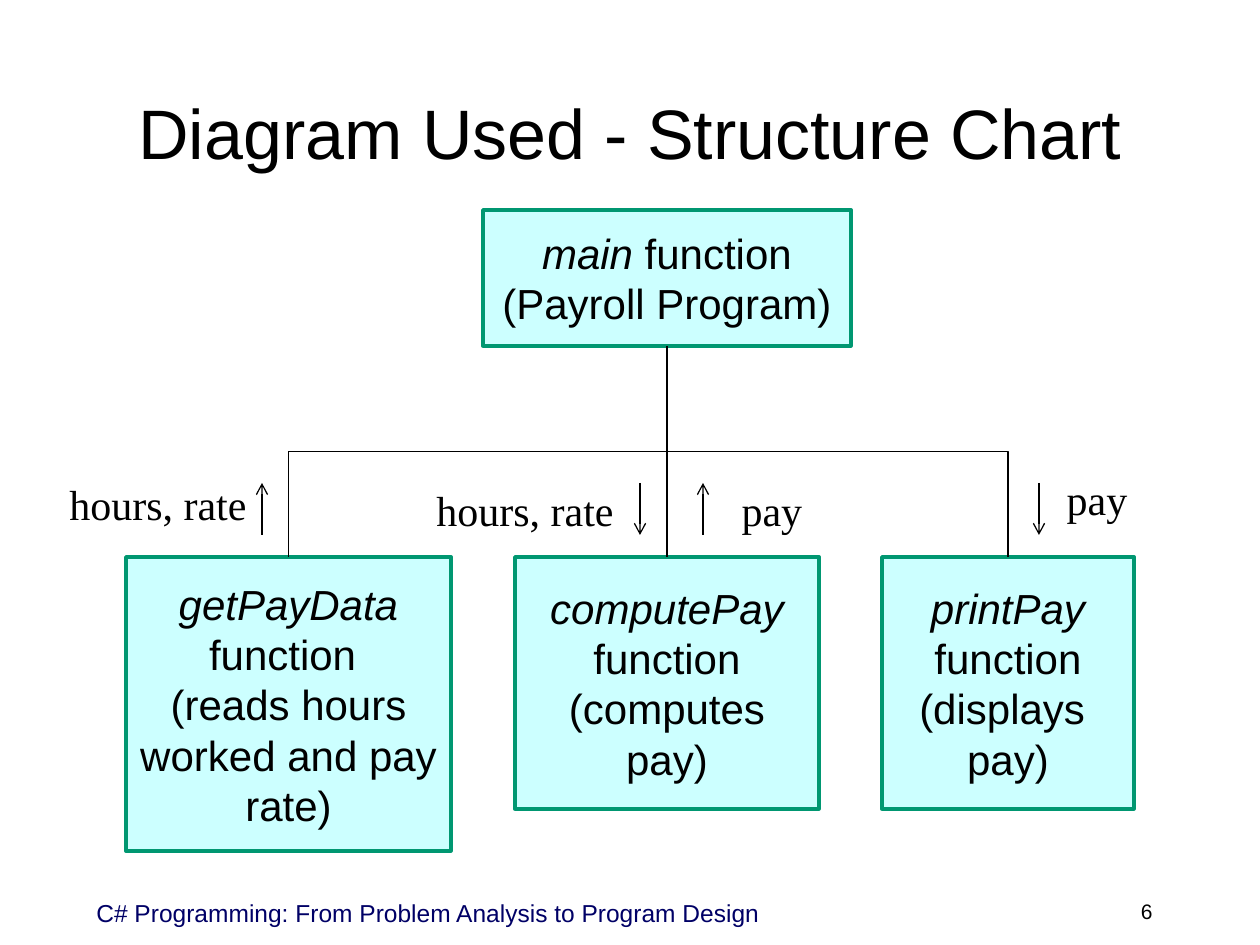
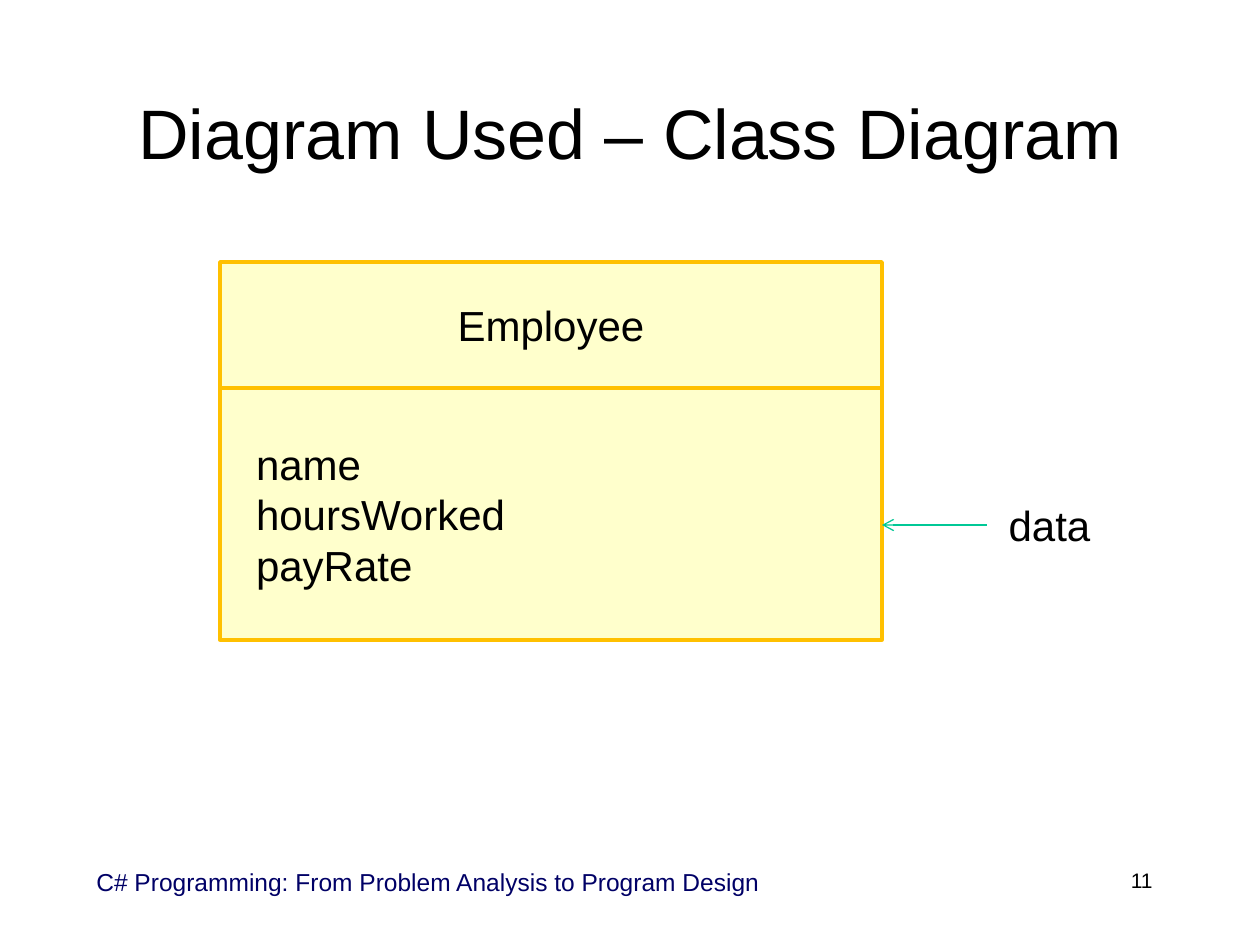
from pptx import Presentation
from pptx.dml.color import RGBColor
from pptx.enum.shapes import MSO_CONNECTOR, MSO_SHAPE
from pptx.enum.text import MSO_ANCHOR, PP_ALIGN
from pptx.oxml.ns import qn
from pptx.util import Emu, Pt
from lxml import etree

STRAIGHT, ELBOW = MSO_CONNECTOR.STRAIGHT, MSO_CONNECTOR.ELBOW
LEFT, CENTER, RIGHT = PP_ALIGN.LEFT, PP_ALIGN.CENTER, PP_ALIGN.RIGHT
TOP, MIDDLE = MSO_ANCHOR.TOP, MSO_ANCHOR.MIDDLE
RECTANGLE = MSO_SHAPE.RECTANGLE
SIDE_TOP, SIDE_BOTTOM = 0, 2
PX_PER_INCH = 126
SANS, SERIF = "Arial", "Times New Roman"
COLORS = {
    "text": "000000", "footer": "000066", "paper": "FFFFFF",
    "function_fill": "CCFFFF", "function_line": "009771",
    "class_fill": "FFFFCC", "class_line": "FFC000", "pointer": "00C896",
}

# Content: a paragraph is a list of (text, italic) runs; places are left, top, width, height
FOOTER = "C# Programming: From Problem Analysis to Program Design"
MAIN_FUNCTION = ((483, 210, 368, 136),
                 [[("main", True), (" function", False)], [("(Payroll Program)", False)]])
SUB_FUNCTIONS = [
    ((126, 557, 325, 294), [[("getPayData ", True), ("function ", False)],
                            [("(reads hours worked and pay rate)", False)]]),
    ((515, 557, 304, 252), [[("computePay ", True), ("function (computes pay)", False)]]),
    ((882, 557, 252, 252), [[("printPay ", True), ("function (displays ", False)],
                            [("pay)", False)]]),
]
DATA_LABELS = [
    ("hours, rate", (32, 451, 252, 105)),
    ("hours, rate", (410, 473, 230, 73)),
    ("pay", (714, 473, 116, 73)),
    ("pay", (1029, 462, 136, 73)),
]
FLOW_TOP, FLOW_BOTTOM = 483, 535
FLOWS = [(262, "up"), (640, "down"), (703, "up"), (1039, "down")]
CLASS_NAME = "Employee"
CLASS_FIELDS = ["name", "hoursWorked", "payRate"]
CLASS_LEFT, CLASS_TOP, CLASS_WIDTH = 220, 262, 662
NAME_HEIGHT, FIELDS_HEIGHT = 126, 252
FIELD_INDENT = 36


def px(length):
    return Emu(round(length * 914400 / PX_PER_INCH))


def color(name):
    return RGBColor.from_string(COLORS[name])


def plain(lines):
    return [[(line, False)] for line in lines]


def write(frame, paragraphs, size=24, font=SANS, ink="text", align=CENTER, anchor=MIDDLE):
    frame.word_wrap = True
    frame.vertical_anchor = anchor
    for index, runs in enumerate(paragraphs):
        para = frame.paragraphs[0] if index == 0 else frame.add_paragraph()
        para.alignment = align
        for text, italic in runs:
            span = para.add_run()
            span.text = text
            span.font.size = Pt(size)
            span.font.name = font
            span.font.italic = italic
            span.font.color.rgb = color(ink)


def add_text(page, place, text, **style):
    box = page.shapes.add_textbox(*map(px, place))
    write(box.text_frame, plain([text]), **style)


def add_box(page, place, paragraphs, fill, line=None, **style):
    box = page.shapes.add_shape(RECTANGLE, *map(px, place))
    box.shadow.inherit = False
    box.fill.solid()
    box.fill.fore_color.rgb = color(fill)
    if line:
        box.line.color.rgb = color(line)
        box.line.width = Pt(2)
    else:
        box.line.fill.background()
    write(box.text_frame, paragraphs, **style)
    return box


def add_line(page, kind, start, end, ink="text", arrow=False):
    line = page.shapes.add_connector(kind, *map(px, start + end))
    line.line.color.rgb = color(ink)
    line.line.width = Pt(0.75)
    properties = line.element.spPr
    if arrow:
        etree.SubElement(properties.find(qn("a:ln")), qn("a:tailEnd"), type="arrow")
    etree.SubElement(properties, qn("a:effectLst"))
    return line


def join_down(page, parent, child):
    """Join the bottom of parent to the top of child, bending halfway down."""
    start_x, start_y = parent.left + parent.width // 2, parent.top + parent.height
    end_x, end_y = child.left + child.width // 2, child.top
    shift, drop = end_x - start_x, end_y - start_y
    line = add_line(page, ELBOW if shift else STRAIGHT, (0, 0), (1, 1))
    line.begin_connect(parent, SIDE_BOTTOM)
    line.end_connect(child, SIDE_TOP)
    if not shift:
        return
    # A downward elbow is a sideways one turned by a quarter
    line.width, line.height = drop, abs(shift)
    line.left = (start_x + end_x - drop) // 2
    line.top = (start_y + end_y - abs(shift)) // 2
    frame = line.element.spPr.find(qn("a:xfrm"))
    for name in ("flipH", "flipV"):
        frame.attrib.pop(name, None)
    frame.set("rot", "5400000" if shift < 0 else "16200000")
    if shift > 0:
        frame.set("flipH", "1")


def add_page(deck, title, number, footer_top):
    page = deck.slides.add_slide(deck.slide_layouts[5])
    heading = page.shapes.title
    heading.left, heading.top, heading.width, heading.height = map(px, (42, 53, 1176, 157))
    write(heading.text_frame, plain([title]), size=40)
    add_text(page, (84, footer_top, 746, 63), FOOTER,
             size=14, ink="footer", align=LEFT, anchor=TOP)
    add_text(page, (903, footer_top, 262, 63), number, size=12, align=RIGHT, anchor=TOP)
    return page


def build_structure_chart(deck):
    page = add_page(deck, "Diagram Used - Structure Chart", "6", 892)
    # Functions and the tree that joins them
    main_box, *sub_boxes = [
        add_box(page, place, paragraphs, "function_fill", "function_line")
        for place, paragraphs in [MAIN_FUNCTION, *SUB_FUNCTIONS]]
    for sub_box in sub_boxes:
        join_down(page, main_box, sub_box)
    # Data passed along each branch
    for text, place in DATA_LABELS:
        add_text(page, place, text, font=SERIF)
    for x, direction in FLOWS:
        ends = [(x, FLOW_TOP), (x, FLOW_BOTTOM)]
        if direction == "up":
            ends.reverse()
        add_line(page, STRAIGHT, *ends, arrow=True)


def build_class_diagram(deck):
    page = add_page(deck, "Diagram Used – Class Diagram", "11", 861)
    # Class name above its fields
    add_box(page, (CLASS_LEFT, CLASS_TOP, CLASS_WIDTH, NAME_HEIGHT),
            plain([CLASS_NAME]), "class_fill", "class_line")
    fields = add_box(page, (CLASS_LEFT, CLASS_TOP + NAME_HEIGHT, CLASS_WIDTH, FIELDS_HEIGHT),
                     plain(CLASS_FIELDS), "class_fill", "class_line", align=LEFT)
    fields.text_frame.margin_left = px(FIELD_INDENT)
    # Pointer to the data
    add_box(page, (976, 462, 147, 126), plain(["data"]), "paper")
    add_line(page, STRAIGHT, (987, 525), (CLASS_LEFT + CLASS_WIDTH, 525), "pointer", arrow=True)


def main():
    deck = Presentation()
    deck.slide_width, deck.slide_height = px(1260), px(945)
    build_structure_chart(deck)
    build_class_diagram(deck)
    deck.save("out.pptx")


if __name__ == "__main__":
    main()
